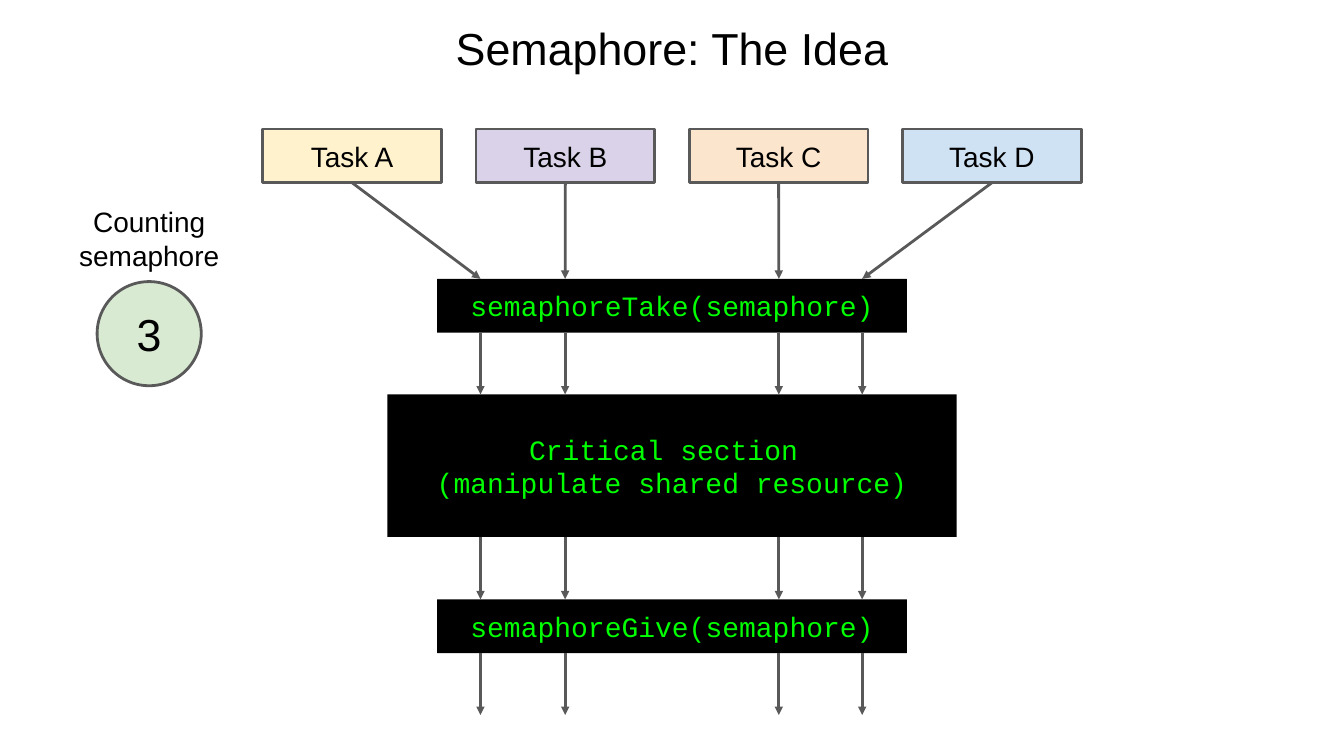
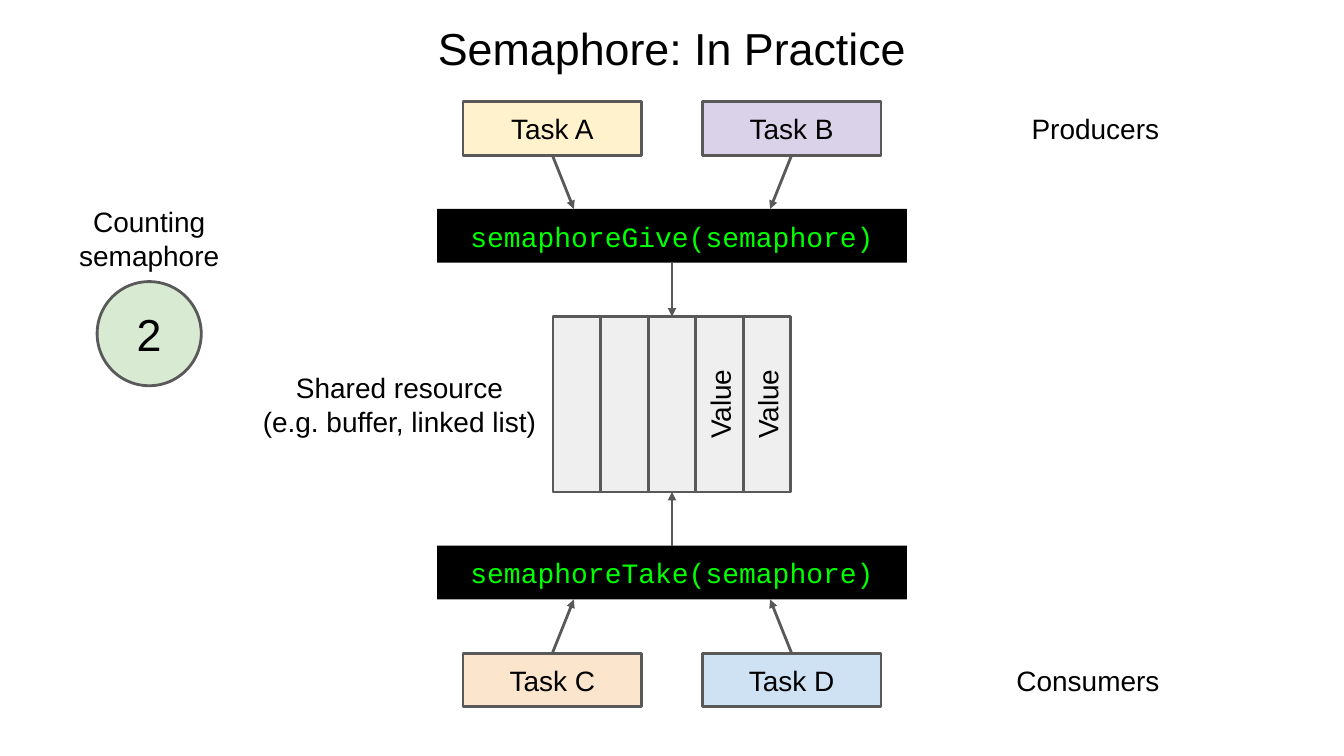
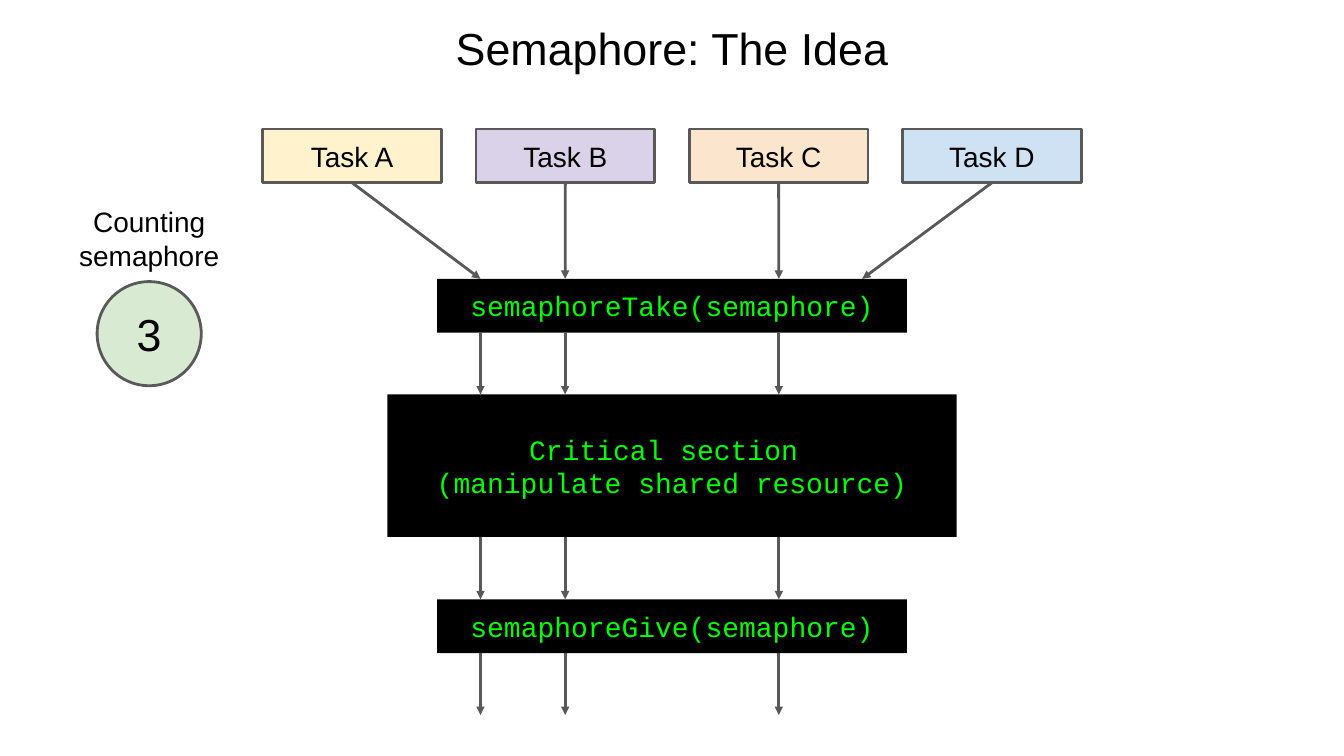
from lxml import etree
from pptx import Presentation
from pptx.dml.color import RGBColor
from pptx.enum import shapes, text
from pptx.oxml import ns
from pptx.util import Inches, Pt

INK, GREY, GREEN, CELL, COUNTER = "000000", "595959", "00FF00", "EFEFEF", "D9EAD3"
TASK_FILLS = {"A": "FFF2CC", "B": "D9D2E9", "C": "FCE5CD", "D": "CFE2F3"}
SANS, MONO = "Arial", "Courier New"
RECT, OVAL = shapes.MSO_SHAPE.RECTANGLE, shapes.MSO_SHAPE.OVAL
TASK_WIDTH, ROW, CALL_WIDTH, MIDDLE = 2.66, 0.8, 6.99, 10
TAKE, GIVE = "semaphoreTake(semaphore)", "semaphoreGive(semaphore)"


def color(hex_code):
    """Turn a hex string into a colour."""
    return RGBColor.from_string(hex_code)


def write(holder, words, size=30, font=SANS, ink=INK, anchor=text.MSO_ANCHOR.MIDDLE):
    """Fill a shape with centred paragraphs, one for each line of the words."""
    frame = holder.text_frame
    frame.word_wrap = True
    frame.vertical_anchor = anchor
    frame.margin_left = frame.margin_right = Inches(0.1)
    frame.margin_top = frame.margin_bottom = Inches(0.1)
    for index, line in enumerate(words.split("\n")):
        paragraph = frame.paragraphs[0] if index == 0 else frame.add_paragraph()
        paragraph.alignment = text.PP_ALIGN.CENTER
        run = paragraph.add_run()
        run.text = line
        run.font.size, run.font.name = Pt(size), font
        run.font.color.rgb = color(ink)


def label(slide, box, words, **style):
    """Place free text in a box."""
    write(slide.shapes.add_textbox(*map(Inches, box)), words, **style)


def block(slide, box, fill, words="", kind=RECT, outline=GREY, turn=0, **style):
    """Place a filled shape, outlined unless outline is None."""
    body = slide.shapes.add_shape(kind, *map(Inches, box))
    body.shadow.inherit = False
    body.rotation = turn
    body.fill.solid()
    body.fill.fore_color.rgb = color(fill)
    if outline:
        body.line.color.rgb = color(outline)
        body.line.width = Pt(3)
    else:
        body.line.fill.background()
    if words:
        write(body, words, **style)


def code(slide, box, words):
    """Place a black block of green code."""
    block(slide, box, INK, words, outline=None, font=MONO, ink=GREEN)


def arrow(slide, start, end):
    """Draw a grey arrow between two points."""
    link = slide.shapes.add_connector(shapes.MSO_CONNECTOR.STRAIGHT, *map(Inches, start + end))
    link.line.color.rgb = color(GREY)
    link.line.width = Pt(3)
    etree.SubElement(link.line._get_or_add_ln(), ns.qn("a:tailEnd"), type="triangle")
    etree.SubElement(link._element.spPr, ns.qn("a:effectLst"))


def task(slide, center, top, name):
    """Place a task in its own colour."""
    box = (center - TASK_WIDTH / 2, top, TASK_WIDTH, ROW)
    block(slide, box, TASK_FILLS[name], f"Task {name}")


def new_slide(deck, title):
    """Add a slide with its title."""
    slide = deck.slides.add_slide(deck.slide_layouts[6])
    label(slide, (2.33, 0.21, 15.34, 1.01), title, size=48, anchor=text.MSO_ANCHOR.TOP)
    return slide


def counter(slide, box, count):
    """Place the semaphore's caption above its count."""
    left, top, width, height = box
    dial = 1.55
    label(slide, (left, top, width, 1.01), "Counting semaphore")
    block(slide, (left + (width - dial) / 2, top + height - dial, dial, dial),
          COUNTER, str(count), kind=OVAL, size=48)


def task_flow(slide, box, passing):
    """Lead four tasks to the take call and the passing ones through the rest."""
    left, top, width, height = box
    middle = left + width / 2
    lanes = [middle + offset for offset in (-2.85, -1.59, 1.59, 2.83)]
    take, section, give = top + 2.23, top + 3.95, top + 7
    section_width, section_height = 8.47, 2.12
    call_left = middle - CALL_WIDTH / 2
    code(slide, (middle - section_width / 2, section, section_width, section_height),
         "Critical section \n(manipulate shared resource)")
    code(slide, (call_left, take, CALL_WIDTH, ROW), TAKE)
    code(slide, (call_left, give, CALL_WIDTH, ROW), GIVE)
    pitch = (width - TASK_WIDTH) / (len(lanes) - 1)
    for index, (name, lane) in enumerate(zip(TASK_FILLS, lanes)):
        center = left + TASK_WIDTH / 2 + index * pitch
        task(slide, center, top, name)
        arrow(slide, (center, top + ROW), (lane, take))
    gaps = ((take + ROW, section), (section + section_height, give), (give + ROW, top + height))
    for lane in lanes[:passing]:
        for start, end in gaps:
            arrow(slide, (lane, start), (lane, end))


def access_side(slide, box, names, call, mirrored=False):
    """Lead two tasks through a call to the buffer, upwards when mirrored."""
    left, top, width, height = box
    middle = left + width / 2
    edges = [top + height * step / 4 for step in range(5)]
    tops = edges[:4]
    if mirrored:
        edges.reverse()
        tops.reverse()
    code(slide, (left, tops[2], width, ROW), call)
    for name, side in zip(names, (-1, 1)):
        center = middle + side * 1.78
        task(slide, center, tops[0], name)
        arrow(slide, (center, edges[1]), (middle + side * 1.46, edges[2]))
    arrow(slide, (middle, edges[3]), (middle, edges[4]))


def buffer(slide, box, values):
    """Place a row of upright cells, each with its value turned."""
    left, top, width, height = box
    cell = width / len(values)
    for index, value in enumerate(values):
        center = left + cell * (index + 0.5)
        block(slide, (center - height / 2, top + (height - cell) / 2, height, cell),
              CELL, value, turn=270)


def idea_slide(deck, passing):
    """Add the slide on the idea, with some tasks passing."""
    slide = new_slide(deck, "Semaphore: The Idea")
    task_flow(slide, (3.91, 1.92, 12.18, 8.72), passing)
    counter(slide, (0.41, 3.04, 3.62, 2.7), 3)


def practice_slide(deck):
    """Add the slide on producers and consumers."""
    slide = new_slide(deck, "Semaphore: In Practice")
    call_left = MIDDLE - CALL_WIDTH / 2
    buffer(slide, (8.23, 4.71, 3.54, 2.61), ("", "", "", "Value", "Value"))
    access_side(slide, (call_left, 1.51, CALL_WIDTH, 3.2), "AB", GIVE)
    access_side(slide, (call_left, 7.32, CALL_WIDTH, 3.2), "CD", TAKE, mirrored=True)
    counter(slide, (0.41, 3.04, 3.62, 2.7), 2)
    label(slide, (3.66, 5.46, 4.57, 1.11), "Shared resource\n(e.g. buffer, linked list)")
    label(slide, (14.49, 1.41, 3.62, 1.01), "Producers")
    label(slide, (14.38, 9.62, 3.62, 1.01), "Consumers")


def main():
    """Build and save the deck."""
    deck = Presentation()
    deck.slide_width, deck.slide_height = Inches(20), Inches(11.25)
    idea_slide(deck, passing=4)
    practice_slide(deck)
    idea_slide(deck, passing=3)
    deck.save("out.pptx")


if __name__ == "__main__":
    main()
